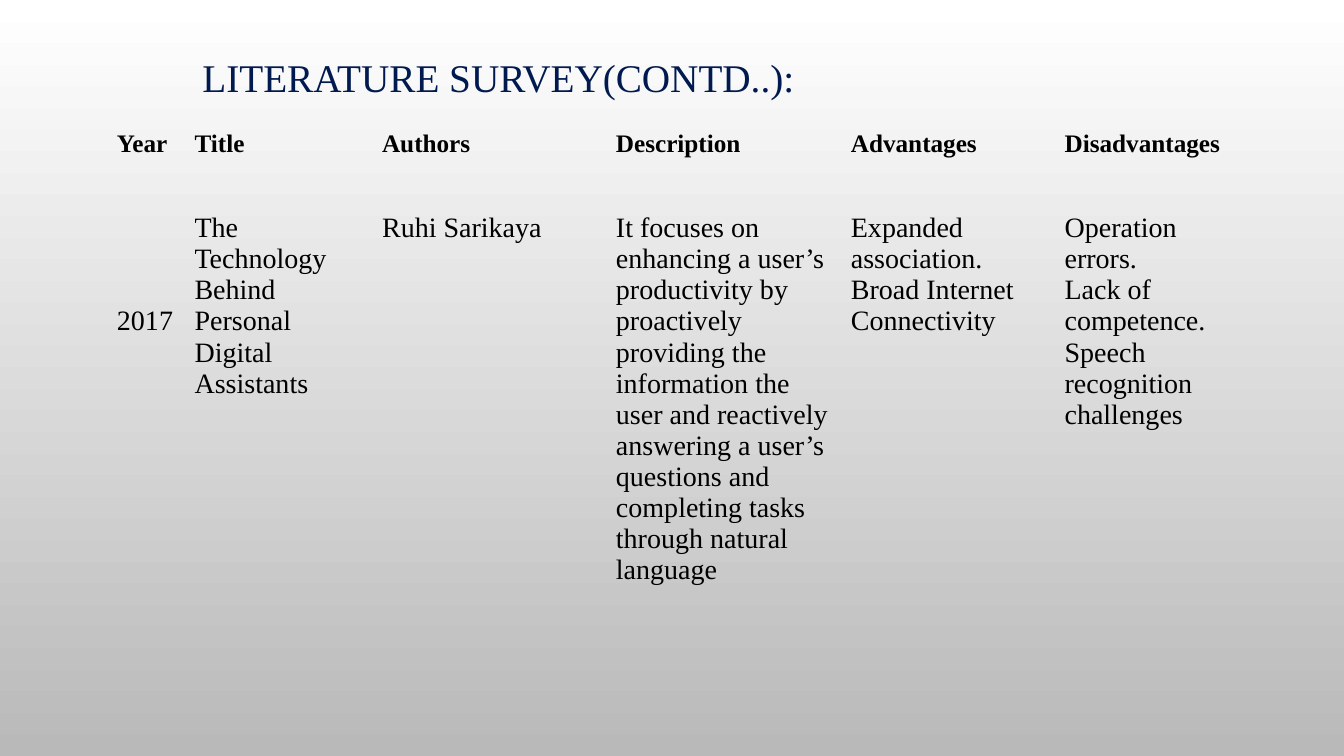
from dataclasses import dataclass

from pptx import Presentation
from pptx.dml.color import RGBColor
from pptx.enum import text
from pptx.oxml import ns
from pptx.util import Inches, Pt


@dataclass(frozen=True)
class Theme:
    font: str = "Times New Roman"
    title: RGBColor = RGBColor(0x00, 0x1A, 0x4F)
    body: RGBColor = RGBColor(0x00, 0x00, 0x00)
    bg_top: RGBColor = RGBColor(0xFF, 0xFF, 0xFF)
    bg_bottom: RGBColor = RGBColor(0xB9, 0xB9, 0xB9)
    title_size: int = 28
    header_size: int = 18
    body_size: int = 20


THEME = Theme()
NO_STYLE_NO_GRID = "{2D5ABB26-0587-4C30-8999-92F81FD0307C}"
COL_WIDTHS = [0.77, 1.86, 2.32, 2.33, 2.12, 1.96]
ROW_HEIGHTS = [0.82, 5.21]
YEAR_TOP = 0.97  # lowers the year beside the middle of the paper's title

# Each cell is a list of paragraphs
HEADERS = [["Year"], ["Title"], ["Authors"], ["Description"], ["Advantages"], ["Disadvantages"]]
PAPER = [
    ["2017"],
    ["The Technology Behind Personal Digital Assistants"],
    ["Ruhi Sarikaya"],
    ["It focuses on enhancing a user’s productivity by proactively providing "
     "the information the user and reactively answering a user’s questions "
     "and completing tasks through natural language"],
    ["Expanded association.", "Broad Internet Connectivity"],
    ["Operation errors.", "Lack of competence.", "Speech recognition challenges"],
]


def set_background(s):
    fill = s.background.fill
    fill.gradient()
    fill.gradient_angle = 270
    for stop, color in zip(fill.gradient_stops, (THEME.bg_top, THEME.bg_bottom)):
        stop.color.rgb = color


def write(tf, lines, size, color, bold=False):
    tf.word_wrap = True
    for i, line in enumerate(lines):
        p = tf.paragraphs[0] if i == 0 else tf.add_paragraph()
        r = p.add_run()
        r.text = line
        r.font.name = THEME.font
        r.font.size = Pt(size)
        r.font.bold = bold
        r.font.color.rgb = color


def add_title(s, title):
    sp = s.shapes.add_textbox(Inches(1.91), Inches(0.55), Inches(9.75), Inches(0.49))
    tf = sp.text_frame
    tf.vertical_anchor = text.MSO_ANCHOR.MIDDLE
    write(tf, [title], THEME.title_size, THEME.title)
    tf.paragraphs[0].line_spacing = 0.9


def add_survey_table(s, rows):
    frame = s.shapes.add_table(len(rows), len(COL_WIDTHS), Inches(1.06), Inches(1.24),
                               Inches(sum(COL_WIDTHS)), Inches(sum(ROW_HEIGHTS)))
    table = frame.table
    table.first_row = table.horz_banding = False
    for style in frame.element.iter(ns.qn("a:tableStyleId")):
        style.text = NO_STYLE_NO_GRID
    for col, width in zip(table.columns, COL_WIDTHS):
        col.width = Inches(width)
    for row, height in zip(table.rows, ROW_HEIGHTS):
        row.height = Inches(height)

    for i, row in enumerate(rows):
        header = i == 0
        size = THEME.header_size if header else THEME.body_size
        for j, lines in enumerate(row):
            cell = table.cell(i, j)
            cell.fill.background()
            write(cell.text_frame, lines, size, THEME.body, bold=header)
    table.cell(1, 0).margin_top = Inches(YEAR_TOP)


def main():
    prs = Presentation()
    prs.slide_width, prs.slide_height = Inches(13.33), Inches(7.5)
    s = prs.slides.add_slide(prs.slide_layouts[6])
    set_background(s)
    add_title(s, "LITERATURE SURVEY(CONTD..):")
    add_survey_table(s, [HEADERS, PAPER])
    prs.save("out.pptx")


if __name__ == "__main__":
    main()
